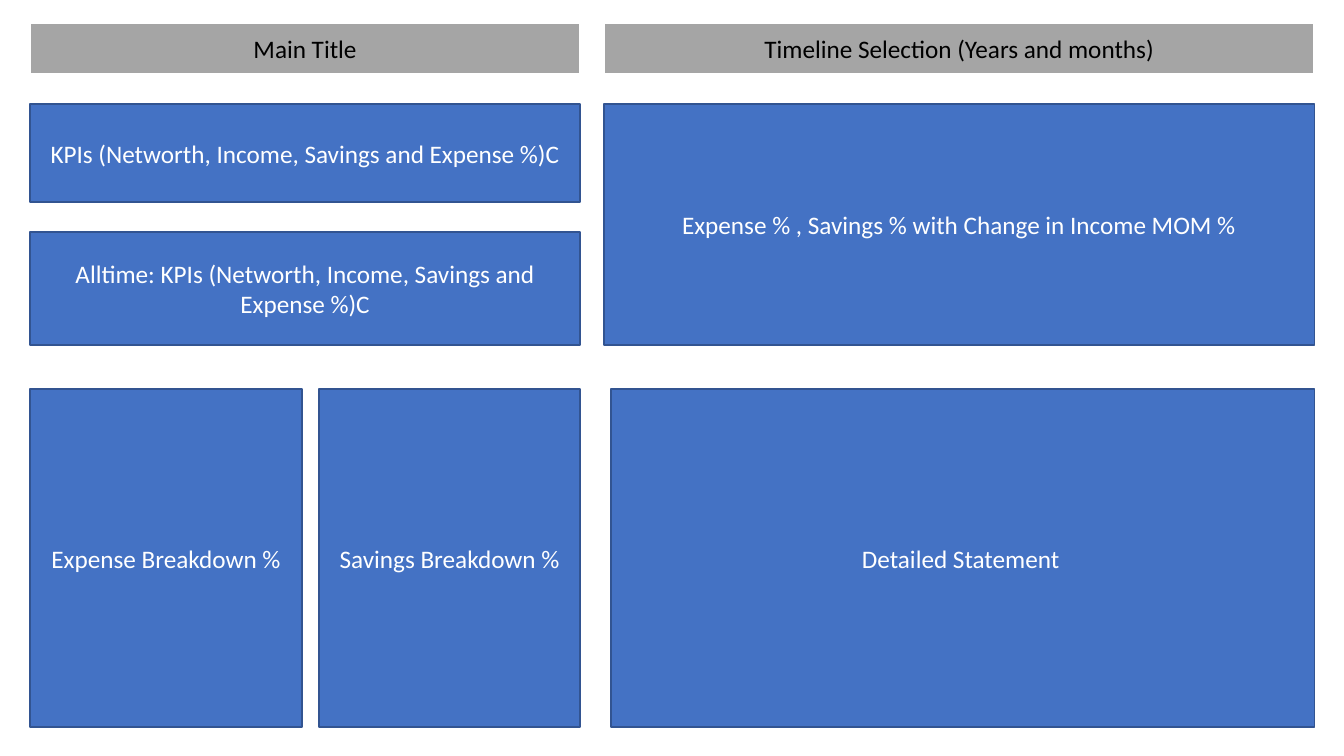
from pptx import Presentation
from pptx.dml.color import RGBColor
from pptx.enum.shapes import MSO_SHAPE
from pptx.enum.text import MSO_ANCHOR, PP_ALIGN
from pptx.util import Inches, Pt

RECTANGLE = MSO_SHAPE.RECTANGLE
MIDDLE = MSO_ANCHOR.MIDDLE
CENTER = PP_ALIGN.CENTER
EMU_PER_PIXEL = 914400 / 100.8
BLANK_LAYOUT = 6

HEADER_STYLE = {"fill": "A5A5A5", "line": "FFFFFF", "weight": 1.5, "ink": "000000"}
PANEL_STYLE = {"fill": "4472C4", "line": "325491", "weight": 1, "ink": "FFFFFF"}

LEFT, LEFT_END = 30, 580
RIGHT, RIGHT_END = 604, 1314
HEADER_ROW = (23, 74)
KPI_ROW = (104, 202)
ALLTIME_ROW = (232, 345)
TREND_ROWS = (KPI_ROW[0], ALLTIME_ROW[1])
DETAIL_ROW = (389, 727)

HEADERS = [
    ("Main Title", (LEFT, LEFT_END), HEADER_ROW),
    ("Timeline Selection (Years and months)", (RIGHT, RIGHT_END), HEADER_ROW),
]
PANELS = [
    ("KPIs (Networth, Income, Savings and Expense %)C", (LEFT, LEFT_END), KPI_ROW),
    ("Alltime: KPIs (Networth, Income, Savings and Expense %)C", (LEFT, LEFT_END), ALLTIME_ROW),
    ("Expense % , Savings % with Change in Income MOM %\t", (RIGHT, RIGHT_END), TREND_ROWS),
    ("Expense Breakdown %", (LEFT, 302), DETAIL_ROW),
    ("Savings Breakdown %", (319, LEFT_END), DETAIL_ROW),
    ("Detailed Statement\t", (611, RIGHT_END), DETAIL_ROW),
]


def px(pixels):
    return round(pixels * EMU_PER_PIXEL)


def color(value):
    return RGBColor.from_string(value)


def write_label(box, text, ink):
    frame = box.text_frame
    frame.text = text
    frame.word_wrap = True
    frame.vertical_anchor = MIDDLE
    para = frame.paragraphs[0]
    para.alignment = CENTER
    for span in para.runs:
        span.font.name = "Calibri"
        span.font.size = Pt(18)
        span.font.color.rgb = color(ink)


def add_box(page, text, columns, rows, style):
    left, right = columns
    top, bottom = rows
    box = page.shapes.add_shape(RECTANGLE, px(left), px(top), px(right - left), px(bottom - top))
    box.shadow.inherit = False
    box.fill.solid()
    box.fill.fore_color.rgb = color(style["fill"])
    box.line.color.rgb = color(style["line"])
    box.line.width = Pt(style["weight"])
    write_label(box, text, style["ink"])


def main():
    deck = Presentation()
    deck.slide_width = Inches(13.33)
    deck.slide_height = Inches(7.5)
    page = deck.slides.add_slide(deck.slide_layouts[BLANK_LAYOUT])
    for text, columns, rows in HEADERS:
        add_box(page, text, columns, rows, HEADER_STYLE)
    for text, columns, rows in PANELS:
        add_box(page, text, columns, rows, PANEL_STYLE)
    deck.save("out.pptx")


main()
